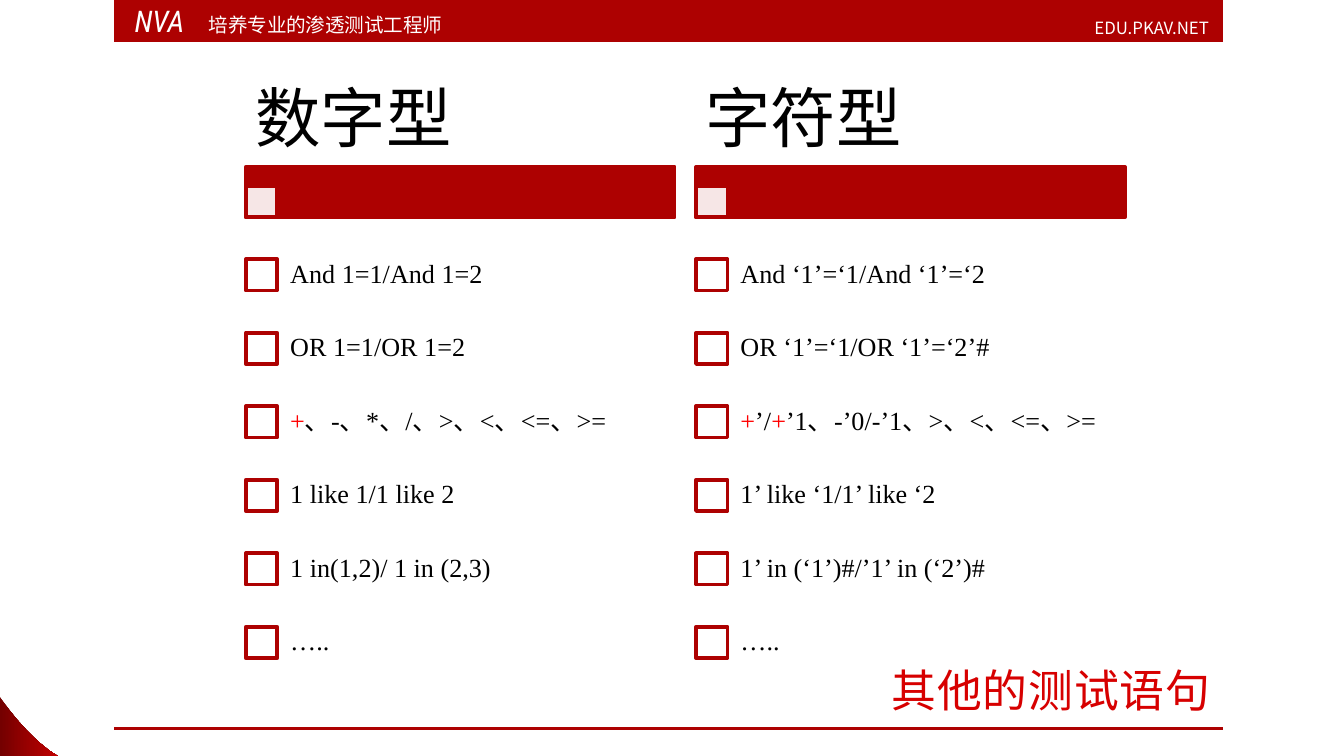
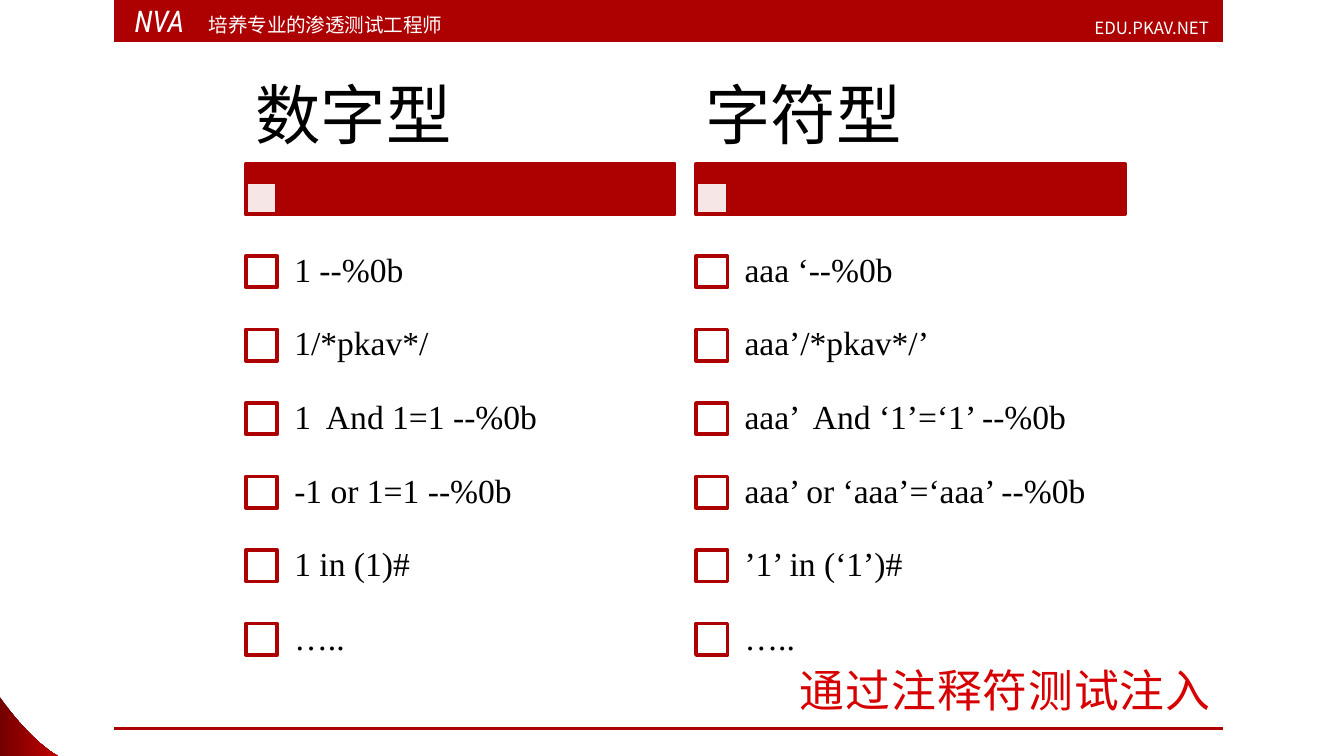
from itertools import groupby

from lxml.etree import SubElement
from pptx import Presentation
from pptx.dml.color import RGBColor
from pptx.enum.shapes import MSO_SHAPE
from pptx.enum.text import MSO_ANCHOR, MSO_AUTO_SIZE, PP_ALIGN
from pptx.oxml.ns import qn
from pptx.util import Pt

RED = RGBColor(0xAD, 0x01, 0x01)
TITLE_RED = RGBColor(0xD7, 0x00, 0x00)
ACCENT_RED = RGBColor(0xFF, 0x00, 0x00)
CORNER_DARK = RGBColor(0x72, 0x00, 0x00)
CORNER_LIGHT = RGBColor(0xC0, 0x00, 0x00)
BLACK = RGBColor(0x00, 0x00, 0x00)
WHITE = RGBColor(0xFF, 0xFF, 0xFF)

SANS = "Arial"
SERIF = "Times New Roman"
CONDENSED = "Roboto Condensed"
CHINESE = "Noto Sans CJK SC"

SLIDE_WIDTH, SLIDE_HEIGHT = 720, 405
BAND_LEFT, BAND_WIDTH = 61.2, 594
COLUMN_LEFT, COLUMN_STEP, COLUMN_WIDTH = 131.7, 241.2, 229.7
ROW_HEIGHT, CHECKBOX = 39.4, 16.8

SLIDES = [
    dict(
        title="其他的测试语句", top=41, size=14, inset=7.9,
        columns={
            "数字型": ["And 1=1/And 1=2", "OR 1=1/OR 1=2", "+、-、*、/、>、<、<=、>=",
                    "1 like 1/1 like 2", "1 in(1,2)/ 1 in (2,3)", "….."],
            "字符型": ["And ‘1’=‘1/And ‘1’=‘2", "OR ‘1’=‘1/OR ‘1’=‘2’#",
                    "+’/+’1、-’0/-’1、>、<、<=、>=", "1’ like ‘1/1’ like ‘2",
                    "1’ in (‘1’)#/’1’ in (‘2’)#", "….."],
        },
    ),
    dict(
        title="通过注释符测试注入", top=39.3, size=18, inset=10.1,
        columns={
            "数字型": ["1 --%0b", "1/*pkav*/", "1  And 1=1 --%0b",
                    "-1 or 1=1 --%0b", "1 in (1)#", "….."],
            "字符型": ["aaa ‘--%0b", "aaa’/*pkav*/’", "aaa’  And ‘1’=‘1’ --%0b",
                    "aaa’ or ‘aaa’=‘aaa’ --%0b", "’1’ in (‘1’)#", "….."],
        },
    ),
]


def write_text(shape, text, size, font=SERIF, color=BLACK, align=PP_ALIGN.LEFT,
               anchor=MSO_ANCHOR.MIDDLE, insets=(7.2, 3.6), line_spacing=None,
               italic=False, wrap=True, tracking=None, accent=None):
    """Write one formatted paragraph, with the accent character in bright red."""
    frame = shape.text_frame
    frame.word_wrap = wrap
    frame.auto_size = MSO_AUTO_SIZE.NONE
    frame.vertical_anchor = anchor
    frame.margin_left = frame.margin_right = Pt(insets[0])
    frame.margin_top = frame.margin_bottom = Pt(insets[1])
    paragraph = frame.paragraphs[0]
    paragraph.alignment = align
    paragraph.line_spacing = line_spacing
    for accented, letters in groupby(text, key=lambda letter: letter == accent):
        run = paragraph.add_run()
        run.text = "".join(letters)
        run.font.size = Pt(size)
        run.font.italic = italic
        run.font.color.rgb = ACCENT_RED if accented else color
        run.font.name = font
        properties = run._r.get_or_add_rPr()
        SubElement(properties, qn("a:ea"), typeface=CHINESE)
        if tracking:
            properties.set("spc", str(tracking))


def add_text(shapes, left, top, width, height, text, **text_format):
    """Add a text box holding one formatted paragraph."""
    box = shapes.add_textbox(Pt(left), Pt(top), Pt(width), Pt(height))
    write_text(box, text, **text_format)


def add_rectangle(shapes, left, top, width, height, fill=RED, outlined=False, opacity=None):
    """Add a plain rectangle, with a red outline or a partly clear fill if asked."""
    shape = shapes.add_shape(MSO_SHAPE.RECTANGLE, Pt(left), Pt(top), Pt(width), Pt(height))
    shape.shadow.inherit = False
    shape.fill.solid()
    shape.fill.fore_color.rgb = fill
    if opacity:
        color = shape.element.spPr.find(qn("a:solidFill"))[0]
        SubElement(color, qn("a:alpha"), val=str(opacity * 1000))
    if outlined:
        shape.line.color.rgb = RED
        shape.line.width = Pt(2)
    else:
        shape.line.fill.background()


def add_corner(shapes, left, top, width, height, steps=16):
    """Draw the curved gradient corner inside the given box."""
    points = [(left, top + height)]
    for step in range(steps + 1):
        t = step / steps
        across = (1 - t) ** 3 + 3 * t * (1 - t) ** 2 + 3 * t ** 2 * (1 - t) * 0.55
        down = (1 - t) ** 3 + 3 * t * (1 - t) ** 2 + 3 * t ** 2 * (1 - t) * 0.78
        points.append((left + across * width, top + down * height))
    builder = shapes.build_freeform(Pt(points[0][0]), Pt(points[0][1]))
    builder.add_line_segments([(Pt(x), Pt(y)) for x, y in points[1:]])
    corner = builder.convert_to_shape()
    corner.shadow.inherit = False
    corner.line.fill.background()
    corner.fill.gradient()
    corner.fill.gradient_angle = 0
    for stop, color in zip(corner.fill.gradient_stops, (CORNER_DARK, CORNER_LIGHT)):
        stop.color.rgb = color


def add_frame(shapes):
    """Add the header band, its labels, the footer line and the corner."""
    add_rectangle(shapes, BAND_LEFT, 0, BAND_WIDTH, 22.5)
    add_rectangle(shapes, BAND_LEFT, 389.5, BAND_WIDTH, 1.6)
    add_corner(shapes, -0.7, 372.5, 31.7, 32.5)
    label = dict(color=WHITE, anchor=MSO_ANCHOR.BOTTOM)
    add_text(shapes, 102.2, 2, 187, 21, "培养专业的渗透测试工程师", size=10.5, font=SANS,
             insets=(9.6, 3.6), **label)
    add_text(shapes, 65, -2, 48, 26.6, "NVA", size=16, font=CONDENSED, color=WHITE,
             anchor=MSO_ANCHOR.TOP, italic=True, wrap=False)
    add_text(shapes, 467.7, 3, 187, 21, "EDU.PKAV.NET", size=9, font=CHINESE,
             align=PP_ALIGN.RIGHT, **label)


def move_frame_to_layout(slide, layout):
    """Draw the shared frame once and hand it to the layout."""
    for placeholder in list(layout.placeholders):
        if placeholder.placeholder_format.idx:
            layout.shapes.element.remove(placeholder.element)
    add_frame(slide.shapes)
    for shape in list(slide.shapes):
        if not shape.is_placeholder:
            layout.shapes.element.append(shape.element)


def add_title(slide, text):
    """Place the title at the bottom right, above the footer line."""
    title = slide.shapes.title
    title.left, title.top, title.width, title.height = Pt(121.8), Pt(350), Pt(534), Pt(37.4)
    write_text(title, text, size=24, font=SANS, color=TITLE_RED, align=PP_ALIGN.RIGHT,
               anchor=MSO_ANCHOR.BOTTOM, tracking=50)


def add_column(slide, left, top, width, heading, statements, size, inset):
    """Add a headed checklist column at the given place."""
    shapes = slide.shapes.add_group_shape().shapes
    add_rectangle(shapes, left, top + 48.4, width, 27.1, outlined=True)
    add_rectangle(shapes, left, top + 58.5, CHECKBOX, CHECKBOX, fill=WHITE,
                  outlined=True, opacity=90)
    add_text(shapes, left, top, width, 48.3, heading, size=35, insets=(5.1, 3.6),
             line_spacing=0.9)
    for row, statement in enumerate(statements):
        row_top = top + 86.5 + row * ROW_HEIGHT
        add_rectangle(shapes, left, row_top + (ROW_HEIGHT - CHECKBOX) / 2, CHECKBOX, CHECKBOX,
                      fill=WHITE, outlined=True)
        add_text(shapes, left + 15.9, row_top, width - 15.9, ROW_HEIGHT, statement, size=size,
                 insets=(inset, inset), line_spacing=0.9, accent="+")


def fill_slide(slide, title, top, size, inset, columns):
    """Fill a comparison slide with its title and checklist columns."""
    add_title(slide, title)
    for index, (heading, statements) in enumerate(columns.items()):
        add_column(slide, COLUMN_LEFT + index * COLUMN_STEP, top, COLUMN_WIDTH,
                   heading, statements, size, inset)


def main():
    """Build and save the presentation."""
    presentation = Presentation()
    presentation.slide_width, presentation.slide_height = Pt(SLIDE_WIDTH), Pt(SLIDE_HEIGHT)
    layout = presentation.slide_layouts.get_by_name("Title Only")
    slides = [presentation.slides.add_slide(layout) for _ in SLIDES]
    move_frame_to_layout(slides[0], layout)
    for slide, content in zip(slides, SLIDES):
        fill_slide(slide, **content)
    presentation.save("out.pptx")


if __name__ == "__main__":
    main()
